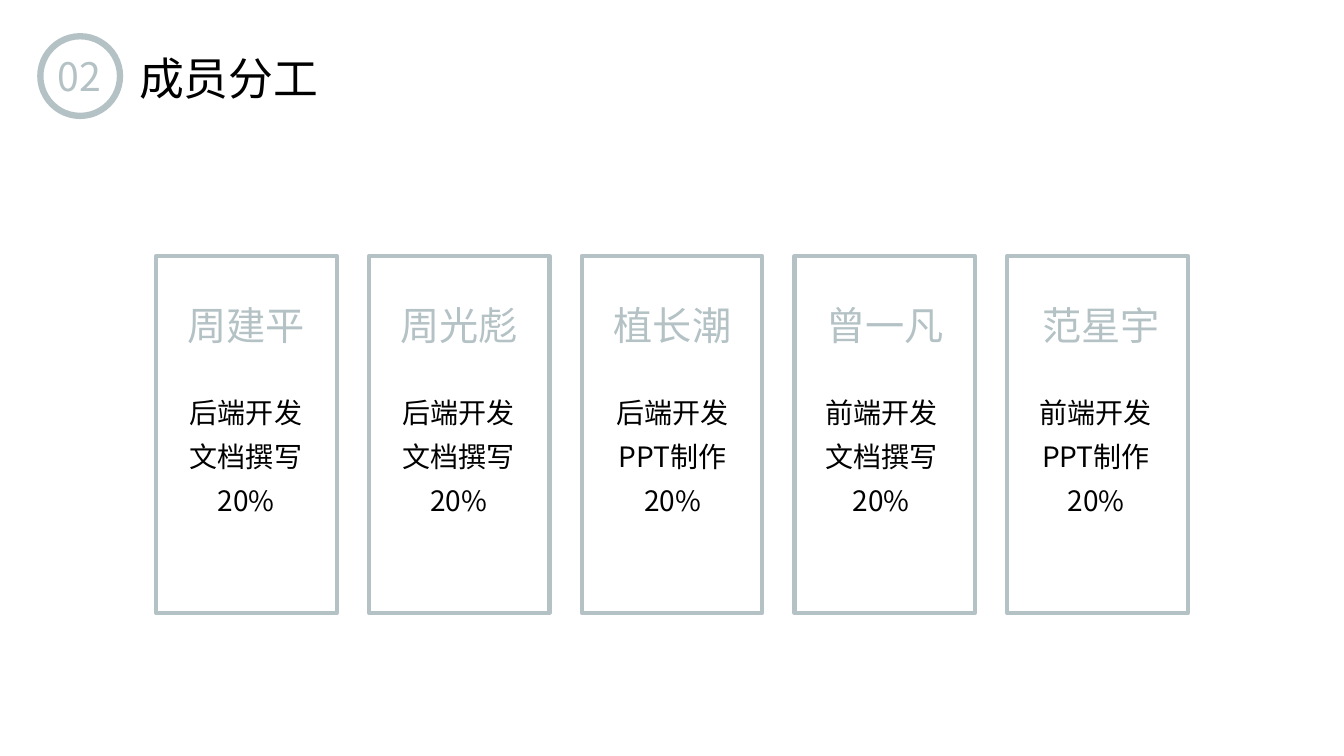
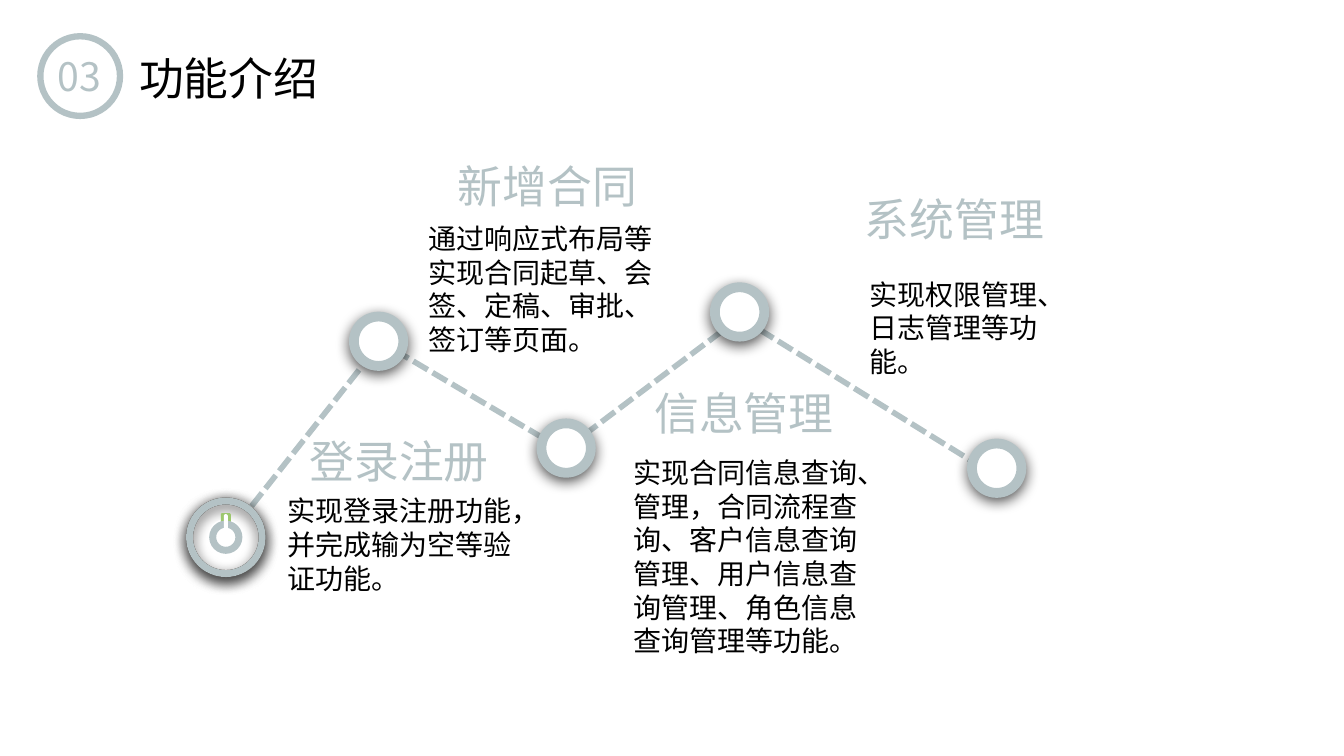
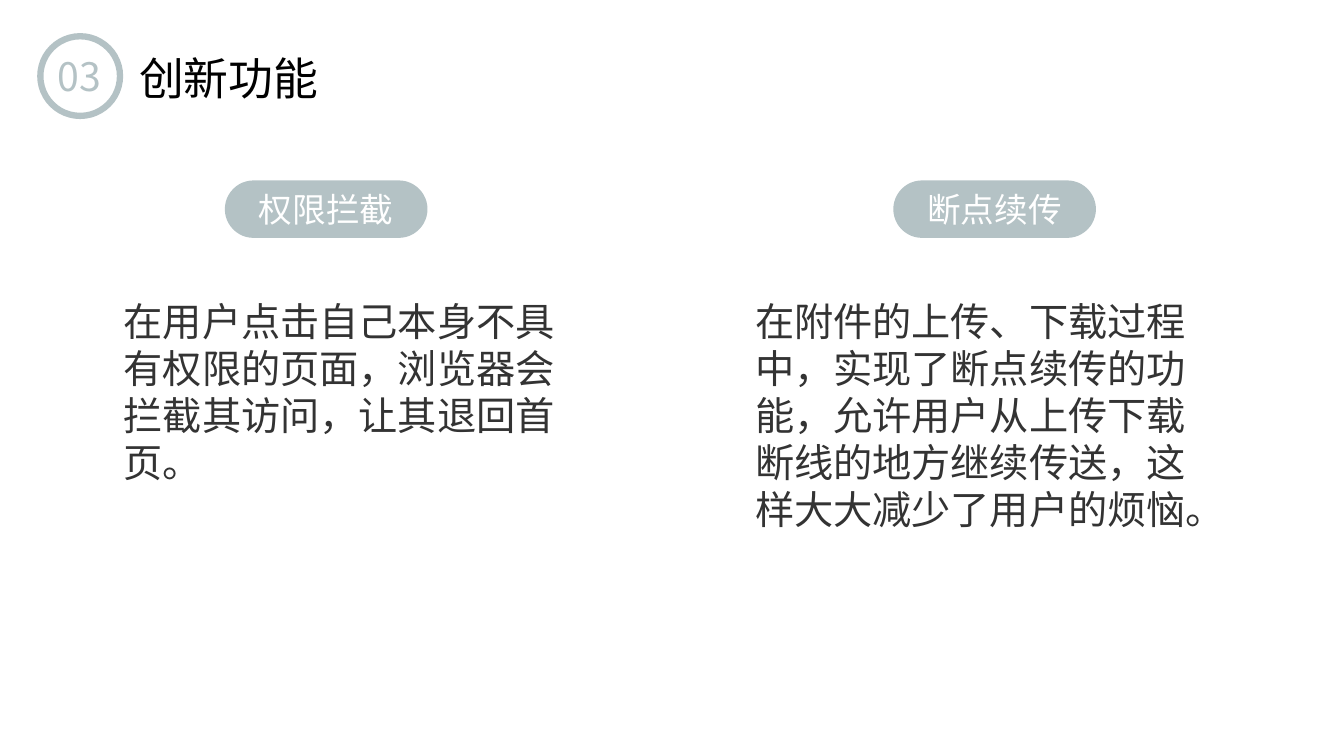
"""Build three slides: team roles, feature path and innovations."""
import dataclasses

import lxml.etree
import pptx
import pptx.dml.color
import pptx.enum.dml
import pptx.enum.shapes
import pptx.enum.text
import pptx.oxml.ns
import pptx.util


@dataclasses.dataclass(frozen=True)
class Theme:
    accent: str = "B4C2C5"
    black: str = "000000"
    grey: str = "333333"
    white: str = "FFFFFF"
    brown: str = "432E24"
    green: str = "9CC76D"
    font: str = "Noto Sans CJK SC"
    latin: str = "Roboto"
    title: int = 32
    large: int = 28
    label: int = 24
    body: int = 20


theme = Theme()
Inches = pptx.util.Inches
rgb = pptx.dml.color.RGBColor.from_string
qn = pptx.oxml.ns.qn
ALIGN = pptx.enum.text.PP_ALIGN
ANCHOR = pptx.enum.text.MSO_ANCHOR
SHAPE = pptx.enum.shapes.MSO_SHAPE


def write(sp, lines, size, color, font=theme.font, align=ALIGN.LEFT,
          anchor=ANCHOR.TOP, inset=True, before=0, wrap=True):
    tf = sp.text_frame
    tf.word_wrap = wrap
    tf.auto_size = pptx.enum.text.MSO_AUTO_SIZE.NONE
    tf.vertical_anchor = anchor
    side, edge = (0.1, 0.05) if inset else (0, 0)
    tf.margin_left = tf.margin_right = Inches(side)
    tf.margin_top = tf.margin_bottom = Inches(edge)
    tf.text = "\n".join(lines)
    for p in tf.paragraphs:
        p.alignment = align
        p.space_before = pptx.util.Pt(before)
        p.font.size = pptx.util.Pt(size)
        p.font.color.rgb = rgb(color)
        p.font.name = font
        defaults = p._p.pPr.find(qn("a:defRPr"))
        lxml.etree.SubElement(defaults, qn("a:ea"), typeface=theme.font)


def draw(s, kind, box, fill=None, line=None, width=0, shadow=False, adj=None):
    sp = s.shapes.add_shape(kind, *map(Inches, box))
    if adj is not None:
        sp.adjustments[0] = adj
    if fill:
        sp.fill.solid()
        sp.fill.fore_color.rgb = rgb(fill)
    else:
        sp.fill.background()
    if line:
        sp.line.color.rgb = rgb(line)
        sp.line.width = pptx.util.Pt(width)
    else:
        sp.line.fill.background()
    sp.shadow.inherit = False
    if shadow:
        effects = sp._element.spPr.find(qn("a:effectLst"))
        outer = lxml.etree.SubElement(effects, qn("a:outerShdw"), blurRad="127000",
                                      dist="38100", dir="5400000", rotWithShape="0")
        tint = lxml.etree.SubElement(outer, qn("a:srgbClr"), val=theme.black)
        lxml.etree.SubElement(tint, qn("a:alpha"), val="67000")
    return sp


prs = pptx.Presentation()
prs.slide_width, prs.slide_height = Inches(13.33), Inches(7.5)

slides = []
for number, title in [("02", "成员分工"), ("03", "功能介绍"), ("03", "创新功能")]:
    s = prs.slides.add_slide(prs.slide_layouts[5])
    sp = s.shapes.title
    sp.left, sp.top, sp.width, sp.height = map(Inches, (1.28, 0.45, 3.83, 0.64))
    write(sp, [title], theme.title, theme.black)
    draw(s, SHAPE.OVAL, (0.4, 0.36, 0.79, 0.79), line=theme.accent, width=4.5)
    sp = s.shapes.add_textbox(*map(Inches, (0.47, 0.47, 0.66, 0.57)))
    write(sp, [number], theme.large, theme.accent, wrap=False)
    slides.append(s)
team, features, innovations = slides

members = [
    ("周建平", 1.75, "后端开发", "文档撰写", 1.7),
    ("周光彪", 3.86, "后端开发", "文档撰写", 3.81),
    ("植长潮", 5.98, "后端开发", "PPT制作", 5.93),
    ("曾一凡", 8.09, "前端开发", "文档撰写", 8),
    ("范星宇", 10.23, "前端开发", "PPT制作", 10.13),
]
for i, (name, name_x, role, task, body_x) in enumerate(members):
    draw(team, SHAPE.RECTANGLE, (1.55 + 2.11 * i, 2.54, 1.79, 3.54),
         line=theme.accent, width=3)
    sp = team.shapes.add_textbox(*map(Inches, (name_x, 2.94, 1.38, 0.57)))
    write(sp, [name], theme.large, theme.accent, align=ALIGN.CENTER, wrap=False)
    sp = team.shapes.add_textbox(*map(Inches, (body_x, 3.92, 1.48, 1.91)))
    write(sp, [role, task, "20%"], theme.body, theme.black,
          align=ALIGN.CENTER, inset=False, before=7.5)

paths = [
    (7.34, 3.15, 9.81, 4.68),
    (7.34, 3.15, 5.68, 4.4),
    (5.58, 4.46, 3.79, 3.4),
    (2.22, 5.37, 3.75, 3.43),
]
for ends in paths:
    link = features.shapes.add_connector(
        pptx.enum.shapes.MSO_CONNECTOR.STRAIGHT, *map(Inches, ends))
    link.line.color.rgb = rgb(theme.accent)
    link.line.width = pptx.util.Pt(4)
    link.line.dash_style = pptx.enum.dml.MSO_LINE.SQUARE_DOT
    lxml.etree.SubElement(link._element.spPr, qn("a:effectLst"))

for x, y in [(9.64, 4.4), (7.09, 2.85), (5.37, 4.2), (3.51, 3.14)]:
    draw(features, SHAPE.OVAL, (x, y, 0.49, 0.49), theme.white, theme.accent, 7, True)

start = (1.88, 4.97, 0.72, 0.72)
draw(features, SHAPE.OVAL, start, theme.white, theme.brown, 5, True)
draw(features, SHAPE.OVAL, start, None, theme.accent, 5, True)
draw(features, SHAPE.OVAL, (2.06, 5.15, 0.35, 0.35), theme.white)
draw(features, SHAPE.ROUNDED_RECTANGLE, (2.19, 5.09, 0.1, 0.24), theme.green)
draw(features, SHAPE.OVAL, (2.11, 5.2, 0.26, 0.26), theme.white, theme.accent, 5)
draw(features, SHAPE.ROUNDED_RECTANGLE, (2.22, 5.1, 0.04, 0.25), theme.white, adj=0.5)

stops = [
    ("登录注册", (2.97, 4.25, 2.18, 0.64),
     "实现登录注册功能，并完成输为空等验证功能。", (2.85, 4.9, 2.46, 1.07)),
    ("信息管理", (6.39, 3.78, 2.11, 0.64),
     "实现合同信息查询、管理，合同流程查询、客户信息查询管理、用户信息查询管理、"
     "角色信息查询管理等功能。", (6.28, 4.52, 2.46, 1.13)),
    ("新增合同", (4.44, 1.53, 2.43, 0.64),
     "通过响应式布局等实现合同起草、会签、定稿、审批、签订等页面。",
     (4.25, 2.2, 2.46, 1.07)),
    ("系统管理", (8.48, 1.85, 2.97, 0.64),
     "实现权限管理、日志管理等功能。", (8.62, 2.75, 1.92, 1.07)),
]
for heading, heading_box, detail, detail_box in stops:
    sp = features.shapes.add_textbox(*map(Inches, heading_box))
    write(sp, [heading], theme.title, theme.accent)
    sp = features.shapes.add_textbox(*map(Inches, detail_box))
    write(sp, [detail], theme.body, theme.black, inset=False, before=7.5)

ideas = [
    ("权限拦截", 2.23, 1.13, 1.99,
     "在用户点击自己本身不具有权限的页面，浏览器会拦截其访问，让其退回首页。"),
    ("断点续传", 8.86, 7.39, 2.46,
     "在附件的上传、下载过程中，实现了断点续传的功能，允许用户从上传下载断线的地方"
     "继续传送，这样大大减少了用户的烦恼。"),
]
for label, pill_x, body_x, height, detail in ideas:
    pill = draw(innovations, SHAPE.ROUNDED_RECTANGLE, (pill_x, 1.79, 2.01, 0.57),
                theme.accent, adj=0.5)
    write(pill, [label], theme.label, theme.white,
          align=ALIGN.CENTER, anchor=ANCHOR.MIDDLE)
    sp = innovations.shapes.add_textbox(*map(Inches, (body_x, 2.9, 4.82, height)))
    write(sp, [detail], theme.large, theme.grey, font=theme.latin)

prs.save("out.pptx")
